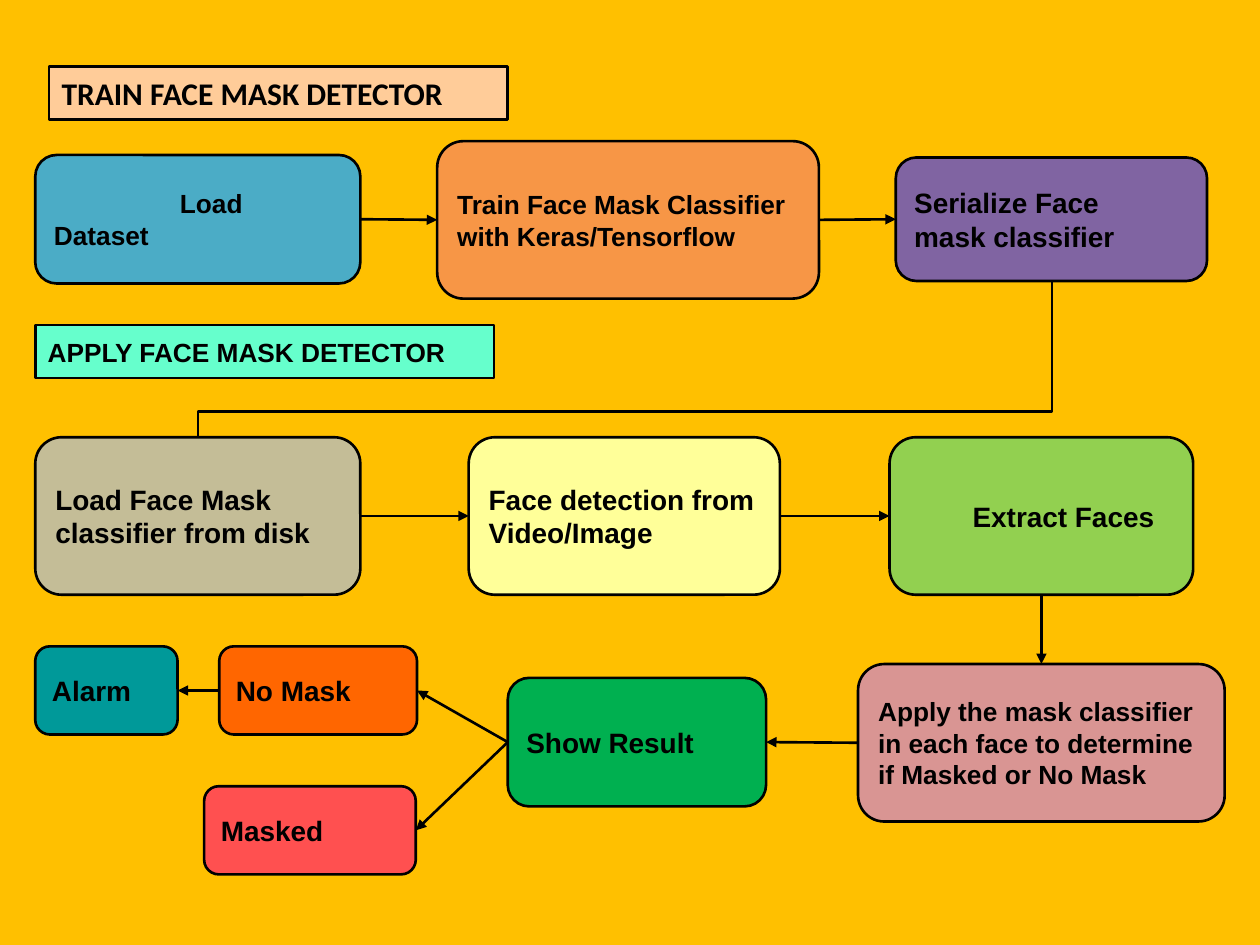
from lxml.etree import SubElement
from pptx import Presentation
from pptx.dml.color import RGBColor
from pptx.enum.shapes import MSO_CONNECTOR as LINK, MSO_SHAPE as SHAPE
from pptx.enum.text import MSO_ANCHOR, PP_ALIGN
from pptx.oxml.ns import qn
from pptx.util import Inches, Pt

BLACK = RGBColor(0, 0, 0)
AMBER = RGBColor(0xFF, 0xC0, 0x00)
SKY = RGBColor(0x4B, 0xAC, 0xC6)
ORANGE = RGBColor(0xF7, 0x96, 0x46)
PURPLE = RGBColor(0x80, 0x64, 0xA2)
TAN = RGBColor(0xC4, 0xBD, 0x97)
YELLOW = RGBColor(0xFF, 0xFF, 0x99)
LIME = RGBColor(0x92, 0xD0, 0x50)
ROSE = RGBColor(0xD9, 0x95, 0x93)
GREEN = RGBColor(0x00, 0xB0, 0x50)
FLAME = RGBColor(0xFF, 0x66, 0x00)
RED = RGBColor(0xFF, 0x50, 0x50)
TEAL = RGBColor(0x00, 0x99, 0x99)
PEACH = RGBColor(0xFF, 0xCC, 0x99)
MINT = RGBColor(0x66, 0xFF, 0xCC)

# Connection sites of a rectangle
TOP, LEFT, BOTTOM, RIGHT = range(4)


class FlowPage:
    """Style and drawing methods for one flowchart slide."""

    line_width = Pt(1.5)

    def __init__(self, deck, background):
        self.page = deck.slides.add_slide(deck.slide_layouts[6])
        fill = self.page.background.fill
        fill.solid()
        fill.fore_color.rgb = background

    def box(self, text, place, color, size=16, font="Arial", kind=SHAPE.ROUNDED_RECTANGLE):
        box = self.page.shapes.add_shape(kind, *map(Inches, place))
        box.shadow.inherit = False
        box.fill.solid()
        box.fill.fore_color.rgb = color
        box.line.color.rgb = BLACK
        box.line.width = self.line_width
        frame = box.text_frame
        frame.word_wrap = True
        frame.vertical_anchor = MSO_ANCHOR.MIDDLE
        frame.margin_left = frame.margin_right = Inches(0.1)
        frame.margin_top = frame.margin_bottom = Inches(0.1)
        frame.text = text
        for para in frame.paragraphs:
            para.alignment = PP_ALIGN.LEFT
            for span in para.runs:
                span.font.name = font
                span.font.size = Pt(size)
                span.font.bold = True
                span.font.color.rgb = BLACK
        return box

    def heading(self, text, left, top, color, size, font):
        return self.box(text, (left, top, 3.64, 0.42), color, size, font, SHAPE.RECTANGLE)

    def line(self, kind, start=(0, 0), end=(0, 0)):
        line = self.page.shapes.add_connector(kind, *map(Inches, start + end))
        line.line.color.rgb = BLACK
        line.line.width = self.line_width
        SubElement(line._element.spPr, qn("a:effectLst"))
        return line

    def arrow(self, source, source_site, target, target_site):
        arrow = self.line(LINK.STRAIGHT)
        arrow.begin_connect(source, source_site)
        arrow.end_connect(target, target_site)
        SubElement(arrow.line._get_or_add_ln(), qn("a:tailEnd"), type="triangle")

    def drop_line(self, start, end, bend):
        """Elbow that leaves downwards, runs left and ends downwards."""
        (x1, y1), (x2, y2) = start, end
        mid_x, mid_y = (x1 + x2) / 2, (y1 + y2) / 2
        half_drop, half_run = (y2 - y1) / 2, (x1 - x2) / 2
        elbow = self.line(LINK.ELBOW, (mid_x - half_drop, mid_y - half_run),
                          (mid_x + half_drop, mid_y + half_run))
        properties = elbow._element.spPr
        properties.find(qn("a:xfrm")).set("rot", str(90 * 60000))
        guides = properties.find(qn("a:prstGeom")).find(qn("a:avLst"))
        SubElement(guides, qn("a:gd"), name="adj1", fmla=f"val {round(bend * 100000)}")


def paragraph_properties(box):
    return box.text_frame.paragraphs[0]._p.get_or_add_pPr()


deck = Presentation()
deck.slide_width, deck.slide_height = Inches(10), Inches(7.5)
flow = FlowPage(deck, AMBER)

# Training steps
load_data = flow.box("\tLoad Dataset", (0.28, 1.23, 2.58, 1.02), SKY, 15)
tabs = SubElement(paragraph_properties(load_data), qn("a:tabLst"))
SubElement(tabs, qn("a:tab"), pos=str(Inches(1)), algn="l")
train = flow.box("Train Face Mask Classifier with Keras/Tensorflow",
                 (3.47, 1.12, 3.03, 1.25), ORANGE, 15)
serialize = flow.box("Serialize Face\nmask classifier", (7.11, 1.25, 2.47, 0.98), PURPLE)

# Detection steps
load_model = flow.box("Load Face Mask\nclassifier from disk", (0.28, 3.47, 2.58, 1.25), TAN)
detect = flow.box("Face detection from Video/Image", (3.72, 3.47, 2.47, 1.25), YELLOW)
extract = flow.box("Extract Faces", (7.06, 3.47, 2.41, 1.25), LIME)
paragraph_properties(extract).set("marL", str(Inches(0.5)))
paragraph_properties(extract).set("indent", "0")

# Results
classify = flow.box("Apply the mask classifier in each face to determine if Masked or No Mask",
                    (6.81, 5.27, 2.91, 1.25), ROSE, 15)
result = flow.box("Show Result", (4.03, 5.38, 2.05, 1.02), GREEN)
no_mask = flow.box("No Mask", (1.74, 5.13, 1.57, 0.7), FLAME)
masked = flow.box("Masked", (1.62, 6.24, 1.68, 0.7), RED)
alarm = flow.box("Alarm", (0.28, 5.13, 1.13, 0.7), TEAL)

# Arrows
for source, target in ((load_data, train), (train, serialize),
                       (load_model, detect), (detect, extract)):
    flow.arrow(source, RIGHT, target, LEFT)
flow.arrow(extract, BOTTOM, classify, TOP)
for source, target in ((classify, result), (result, no_mask),
                       (result, masked), (no_mask, alarm)):
    flow.arrow(source, LEFT, target, RIGHT)
flow.drop_line((8.35, 2.23), (1.57, 3.47), 0.835)

# Section headings
flow.heading("TRAIN FACE MASK DETECTOR", 0.39, 0.53, PEACH, 18, "Calibri")
flow.heading("APPLY FACE MASK DETECTOR", 0.28, 2.58, MINT, 15, "Arial")

deck.save("out.pptx")
